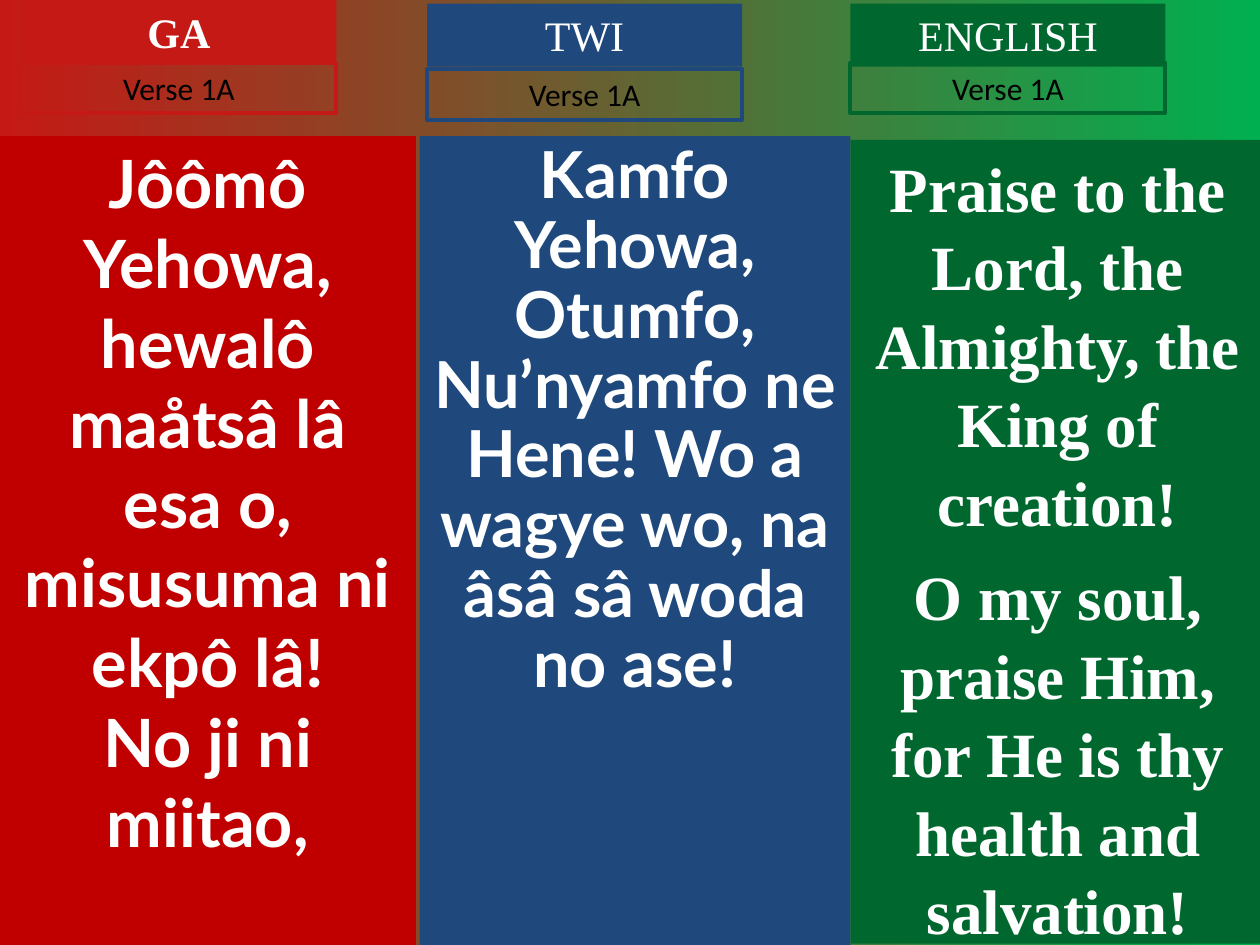
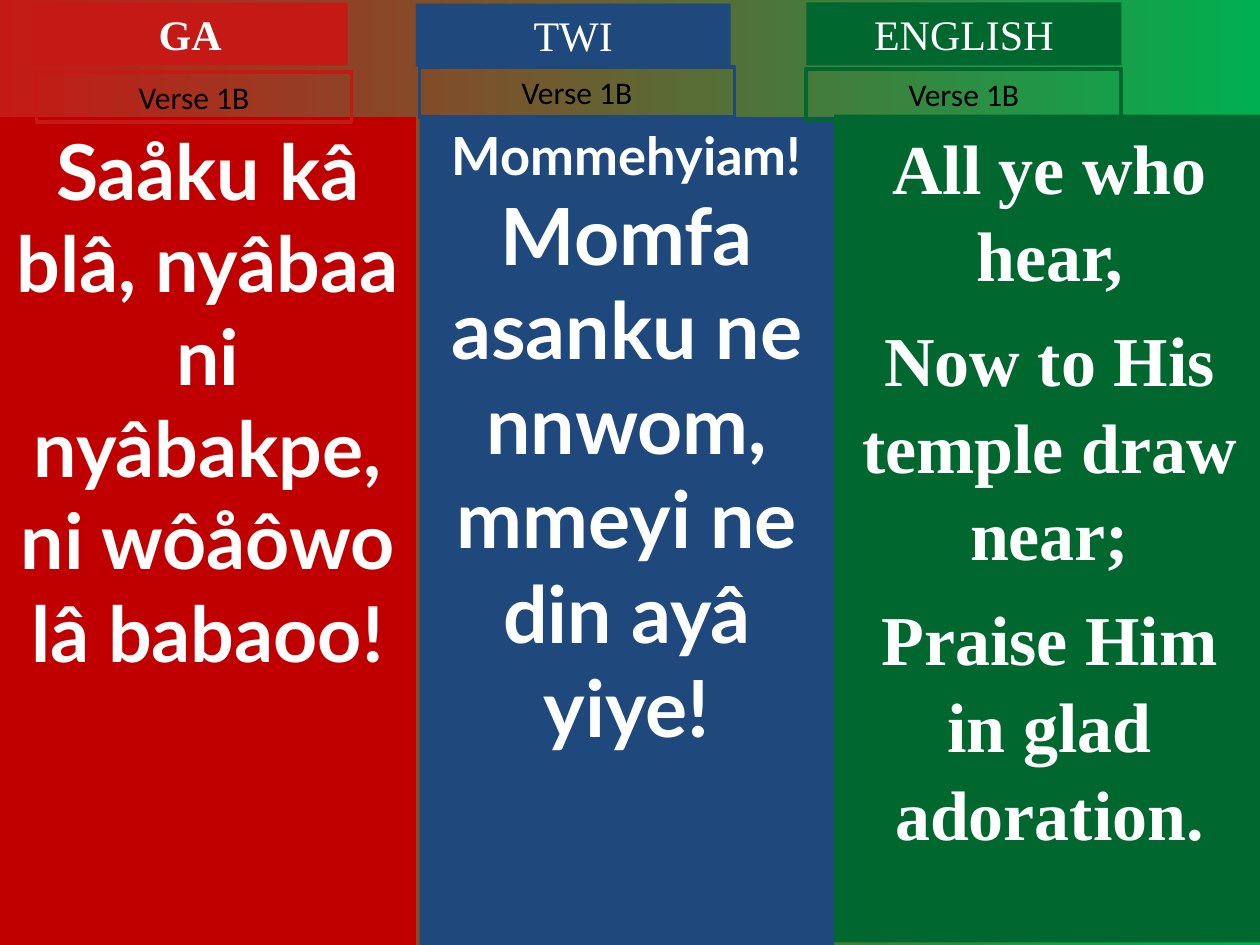
from dataclasses import dataclass

import lxml.etree
import pptx
import pptx.dml.color
import pptx.enum.shapes
import pptx.enum.text
import pptx.oxml.ns
import pptx.util


@dataclass(frozen=True)
class Theme:
    red: str = "C51915"
    deep_red: str = "C00000"
    blue: str = "1F497D"
    green: str = "00682F"
    bright_green: str = "00B050"
    white: str = "FFFFFF"
    black: str = "000000"
    serif: str = "Times New Roman"
    lyric_sans: str = "Lato"
    label_font: str = "Calibri"
    heading_size: int = 24
    label_size: int = 18
    frame_width: float = 2.25


@dataclass(frozen=True)
class Box:
    """A rectangle on the slide grid: 100 columns by 75 rows of square cells."""
    col: float
    row: float
    cols: float
    rows: float


@dataclass(frozen=True)
class Style:
    font: str
    size: float
    color: str
    bold: bool = False
    line_spacing: float = 1.0
    space_before: float = 0


@dataclass(frozen=True)
class Language:
    name: str
    accent: str
    panel: str
    lyric_font: str
    bold_heading: bool = False


@dataclass(frozen=True)
class Lyric:
    panel: Box
    heading_at: tuple[float, float]
    label_at: tuple[float, float]
    size: int
    lines: tuple[str, ...]
    line_spacing: float = 1.0
    space_before: float = 0
    lead: str = ""
    lead_size: int = 0


@dataclass(frozen=True)
class Verse:
    label: str
    lyrics: tuple[Lyric, ...]


THEME = Theme()
COLS, ROWS = 100, 75
CELL = pptx.util.Inches(0.1)
TAG_COLS, HEADING_ROWS, LABEL_ROWS = 25, 5, 4
TWO_CONTENT = 3
SERIF_SPACING = 1.04

LANGUAGES = (
    Language("GA", THEME.red, THEME.deep_red, THEME.lyric_sans, bold_heading=True),
    Language("TWI", THEME.blue, THEME.blue, THEME.lyric_sans),
    Language("ENGLISH", THEME.green, THEME.green, THEME.serif),
)

VERSES = (
    Verse("Verse 1A", (
        Lyric(Box(0, 10.8, 33, 64.2), (1.7, 0), (1.7, 5), 38,
              ("Jôômô Yehowa, hewalô maåtsâ lâ esa o, misusuma ni ekpô lâ!",
               "No ji ni miitao,")),
        Lyric(Box(33.3, 10.8, 34.2, 64.2), (33.9, 0.3), (33.9, 5.5), 37,
              ("Kamfo Yehowa, Otumfo, Nu’nyamfo ne Hene! Wo a wagye wo, "
               "na âsâ sâ woda no ase!",), line_spacing=0.9),
        Lyric(Box(67.5, 11.1, 32.9, 63.8), (67.5, 0.3), (67.5, 5), 36,
              ("Praise to the Lord, the Almighty, the King of creation!",
               "O my soul, praise Him, for He is thy health and salvation!"),
              line_spacing=SERIF_SPACING, space_before=9),
    )),
    Verse("Verse 1B", (
        Lyric(Box(0, 9.3, 33, 65.7), (2.6, 0.2), (2.9, 5.7), 44,
              ("Saåku kâ blâ, nyâbaa ni nyâbakpe, ni wôåôwo lâ babaoo!",)),
        Lyric(Box(33.3, 9.3, 32.9, 65.7), (33, 0.3), (33.3, 5.3), 45,
              ("Momfa asanku ne nnwom, mmeyi ne din ayâ yiye!",),
              lead="Mommehyiam! ", lead_size=30),
        Lyric(Box(66.2, 9.1, 34.2, 65.7), (64, 0.2), (64, 5.5), 40,
              ("All ye who hear,", "Now to His temple draw near;",
               "Praise Him in glad adoration."),
              line_spacing=SERIF_SPACING, space_before=10),
    )),
)


def rgb(value: str) -> pptx.dml.color.RGBColor:
    return pptx.dml.color.RGBColor.from_string(value)


def place(sp, box: Box) -> None:
    sp.left, sp.top = round(box.col * CELL), round(box.row * CELL)
    sp.width, sp.height = round(box.cols * CELL), round(box.rows * CELL)


def add_rect(s):
    sp = s.shapes.add_shape(pptx.enum.shapes.MSO_SHAPE.RECTANGLE, 0, 0, CELL, CELL)
    sp.shadow.inherit = False
    return sp


def paint(sp, fill: str = "", frame: str = "") -> None:
    if fill:
        sp.fill.solid()
        sp.fill.fore_color.rgb = rgb(fill)
    else:
        sp.fill.background()
    if frame:
        sp.line.color.rgb = rgb(frame)
        sp.line.width = pptx.util.Pt(THEME.frame_width)
    else:
        sp.line.fill.background()


def format_run(r, style: Style, size: float) -> None:
    r.font.name = style.font
    r.font.size = pptx.util.Pt(size)
    r.font.bold = style.bold
    r.font.color.rgb = rgb(style.color)


def write(sp, lines: tuple[str, ...], style: Style) -> None:
    """Set centred, unbulleted paragraphs from the top of the shape."""
    tf = sp.text_frame
    tf.word_wrap = True
    tf.auto_size = pptx.enum.text.MSO_AUTO_SIZE.NONE
    tf.vertical_anchor = pptx.enum.text.MSO_ANCHOR.TOP
    tf.text = "\n".join(lines)
    for i, p in enumerate(tf.paragraphs):
        pPr = p._p.get_or_add_pPr()
        pPr.set("marL", "0")
        pPr.set("indent", "0")
        lxml.etree.SubElement(pPr, pptx.oxml.ns.qn("a:buNone"))
        p.alignment = pptx.enum.text.PP_ALIGN.CENTER
        p.line_spacing = style.line_spacing
        p.space_before = pptx.util.Pt(style.space_before if i else 0)
        for r in p.runs:
            format_run(r, style, style.size)


def draw_panel(sp, language: Language, lyric: Lyric) -> None:
    place(sp, lyric.panel)
    paint(sp, fill=language.panel)
    style = Style(language.lyric_font, lyric.size, THEME.white, True,
                  lyric.line_spacing, lyric.space_before)
    if not lyric.lead:
        write(sp, lyric.lines, style)
        return
    write(sp, (lyric.lead,), style)
    p = sp.text_frame.paragraphs[0]
    format_run(p.runs[0], style, lyric.lead_size)
    r = p.add_run()
    r.text = lyric.lines[0]
    format_run(r, style, lyric.size)


def draw_heading(sp, language: Language, lyric: Lyric) -> None:
    place(sp, Box(*lyric.heading_at, TAG_COLS, HEADING_ROWS))
    paint(sp, fill=language.accent)
    write(sp, (language.name,),
          Style(THEME.serif, THEME.heading_size, THEME.white, language.bold_heading))


def draw_label(sp, label: str, language: Language, lyric: Lyric) -> None:
    place(sp, Box(*lyric.label_at, TAG_COLS, LABEL_ROWS))
    paint(sp, frame=language.accent)
    write(sp, (label,), Style(THEME.label_font, THEME.label_size, THEME.black))


def add_verse(prs, verse: Verse) -> None:
    s = prs.slides.add_slide(prs.slide_layouts[TWO_CONTENT])
    title, *bodies = s.placeholders
    columns = tuple(zip(LANGUAGES, verse.lyrics))
    for i, (language, lyric) in enumerate(columns):
        draw_panel(bodies[i] if i < len(bodies) else add_rect(s), language, lyric)
    for i, (language, lyric) in enumerate(columns):
        draw_heading(add_rect(s) if i else title, language, lyric)
        draw_label(add_rect(s), verse.label, language, lyric)


def set_background(prs) -> None:
    fill = prs.slide_master.background.fill
    fill.gradient()
    fill.gradient_angle = 0
    for stop, color in zip(fill.gradient_stops, (THEME.red, THEME.bright_green)):
        stop.color.rgb = rgb(color)


def main() -> None:
    prs = pptx.Presentation()
    prs.slide_width, prs.slide_height = COLS * CELL, ROWS * CELL
    set_background(prs)
    for verse in VERSES:
        add_verse(prs, verse)
    prs.save("out.pptx")


if __name__ == "__main__":
    main()
